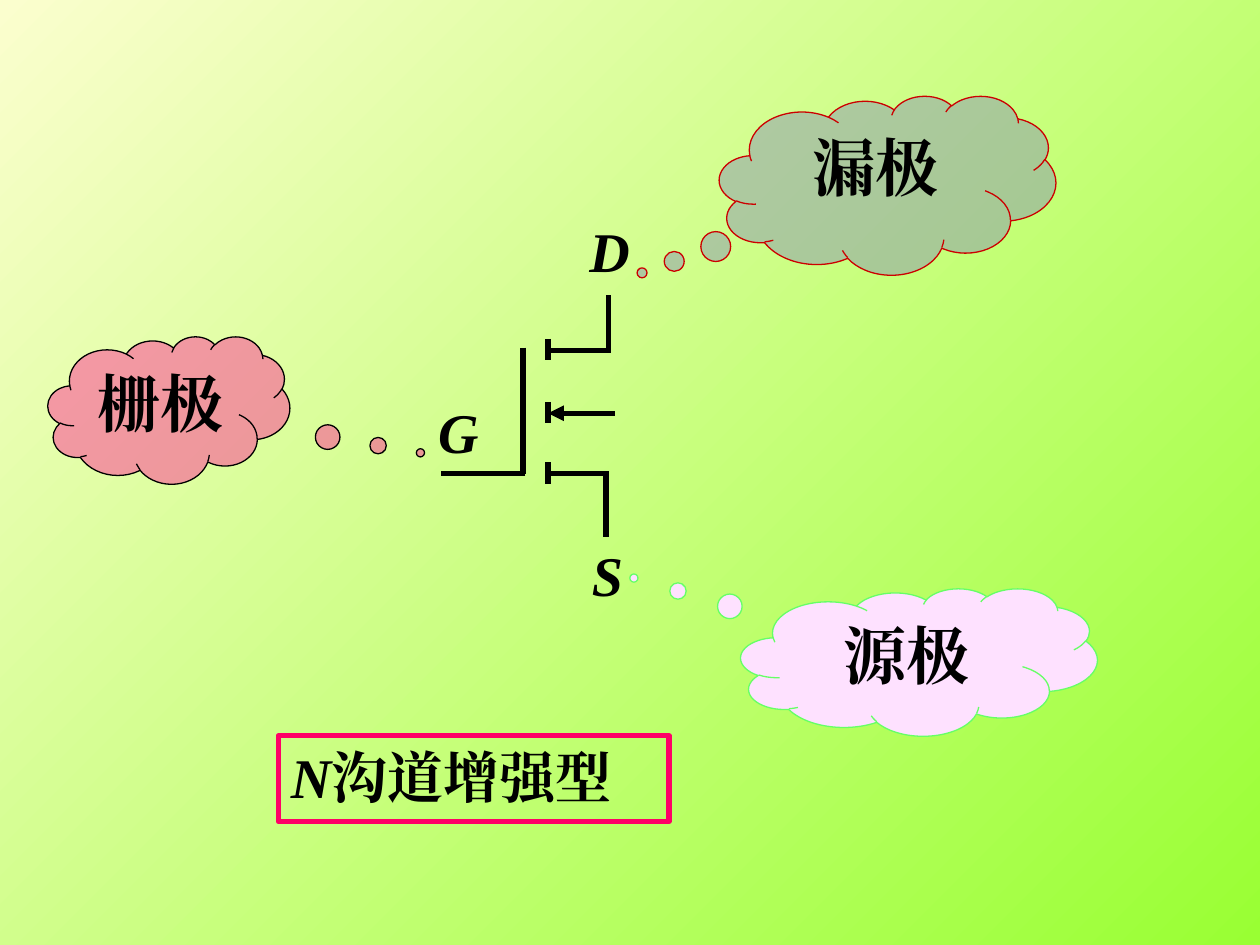
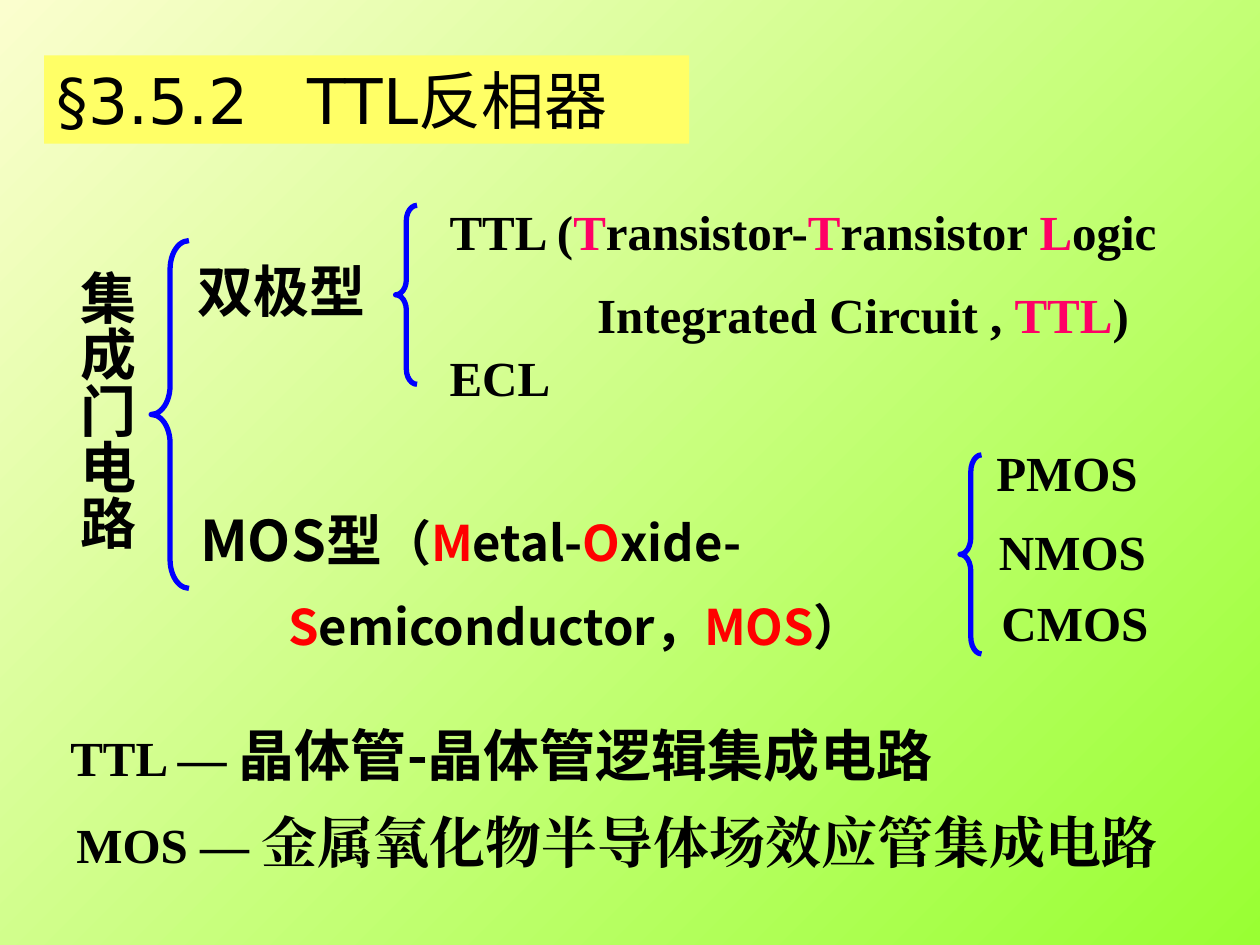
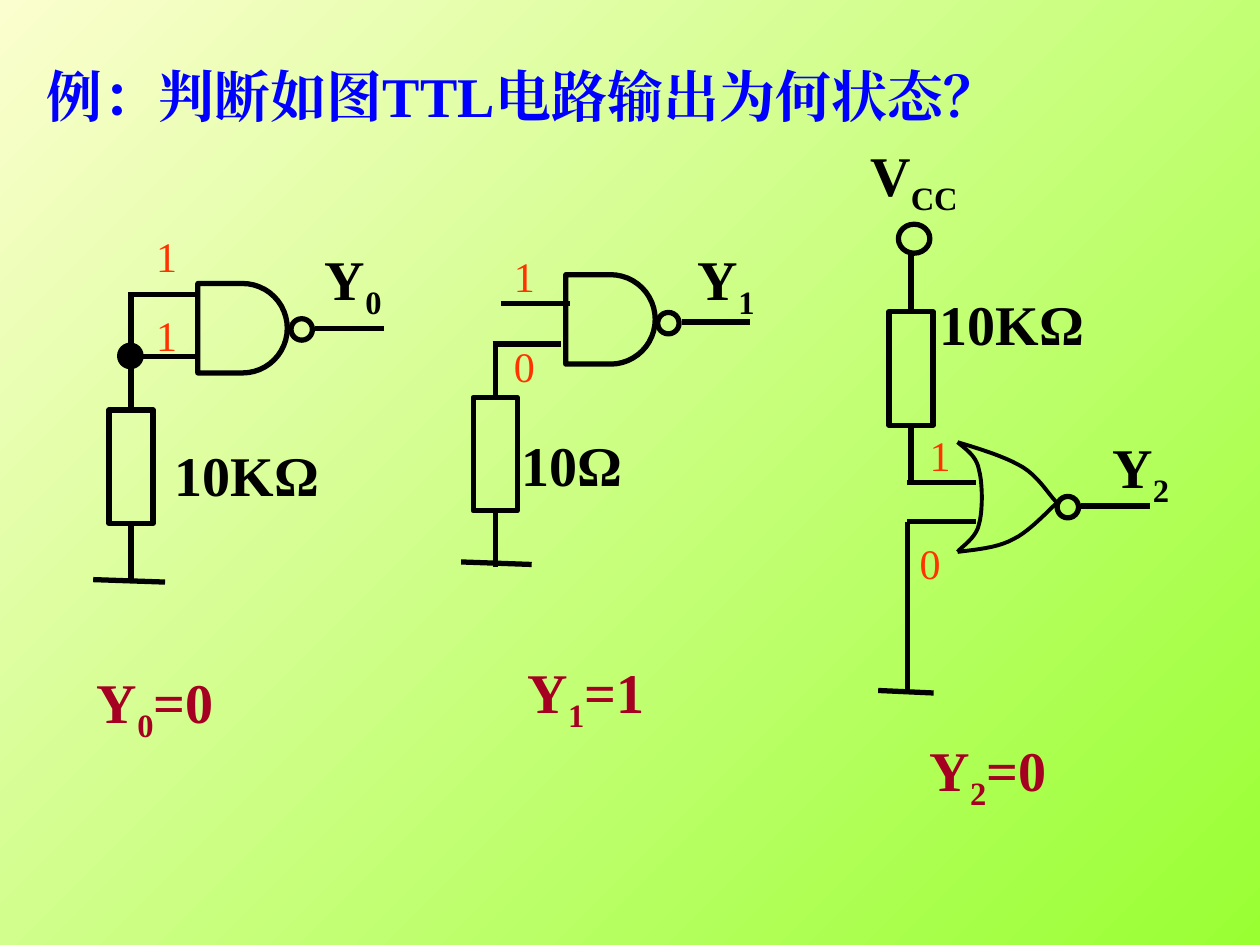
from dataclasses import dataclass
from typing import NamedTuple, Optional

import pptx
import pptx.dml.color
import pptx.enum.shapes
import pptx.enum.text
import pptx.oxml
import pptx.oxml.ns
import pptx.util

COLORS = {
    "cream": "FBFECE", "lime": "99FF33", "black": "000000", "blue": "0000FF",
    "pink": "FF0066", "red": "FF0000", "level": "FF3300", "answer": "A50021",
    "yellow": "FFFF66", "lilac": "FEE1FF", "green": "66FF66",
    "magenta": "FF3399", "slate": "8A95B2", "crimson": "CC0000",
}
SERIF, HEI, SANS = "Times New Roman", "Noto Sans CJK SC", "DejaVu Sans"
COLUMNS, ROWS = 100, 75
SLIDE_WIDTH, SLIDE_HEIGHT = pptx.util.Inches(10), pptx.util.Inches(7.5)
SHAPE = pptx.enum.shapes.MSO_SHAPE
ALIGN = pptx.enum.text.PP_ALIGN
ANCHOR = pptx.enum.text.MSO_ANCHOR
TOP, BOTTOM = 0, 2


class Box(NamedTuple):
    """A place on the grid, in columns and rows."""
    col: float
    row: float
    cols: float
    rows: float


class Wire(NamedTuple):
    col1: float
    row1: float
    col2: float
    row2: float


class Run(NamedTuple):
    text: str
    color: Optional[str] = None
    size: Optional[float] = None
    font: Optional[str] = None
    italic: Optional[bool] = None
    subscript: bool = False


@dataclass(frozen=True)
class Style:
    size: float = 32
    font: str = SERIF
    color: str = "black"
    bold: bool = True
    italic: bool = False
    align: Optional[int] = None
    anchor: int = ANCHOR.TOP
    wrap: bool = True
    grow: bool = True
    vertical: bool = False
    indent: float = 0    # columns, for every paragraph after the first
    tab: float = 0       # columns


class Label(NamedTuple):
    box: Box
    paragraphs: list
    style: Style = Style()


class Cloud(NamedTuple):
    box: Box
    text: str
    tail: tuple
    fill: str
    line: str
    opacity: int = 100


class Brace(NamedTuple):
    box: Box
    curl: float


def x(columns: float) -> int:
    return round(SLIDE_WIDTH * columns / COLUMNS)


def y(rows: float) -> int:
    return round(SLIDE_HEIGHT * rows / ROWS)


def rgb(name: str) -> pptx.dml.color.RGBColor:
    return pptx.dml.color.RGBColor.from_string(COLORS[name])


def sub_element(parent, tag: str, **attributes: str):
    child = pptx.oxml.parse_xml(f"<{tag} {pptx.oxml.ns.nsdecls('a')}/>")
    for key, value in attributes.items():
        child.set(key, value)
    parent.append(child)
    return child


def paint(shape, fill: Optional[str] = None, line: Optional[str] = "black",
          width: float = 3, opacity: int = 100) -> None:
    shape.shadow.inherit = False
    if fill:
        shape.fill.solid()
        shape.fill.fore_color.rgb = rgb(fill)
        if opacity < 100:
            color = shape.fill._xPr.find(".//" + pptx.oxml.ns.qn("a:srgbClr"))
            sub_element(color, "a:alpha", val=str(opacity * 1000))
    else:
        shape.fill.background()
    if line:
        shape.line.color.rgb = rgb(line)
        shape.line.width = pptx.util.Pt(width)
    else:
        shape.line.fill.background()


def draw_shape(slide, kind, box: Box, **look):
    shape = slide.shapes.add_shape(
        kind, x(box.col), y(box.row), x(box.cols), y(box.rows))
    paint(shape, **look)
    return shape


def draw_wire(slide, wire: Wire, arrow: bool = False):
    connector = slide.shapes.add_connector(
        pptx.enum.shapes.MSO_CONNECTOR.STRAIGHT,
        x(wire.col1), y(wire.row1), x(wire.col2), y(wire.row2))
    connector.line.color.rgb = rgb("black")
    connector.line.width = pptx.util.Pt(3)
    if arrow:
        sub_element(connector.line._get_or_add_ln(), "a:headEnd", type="triangle")
    sub_element(connector._element.spPr, "a:effectLst")
    return connector


def format_run(target, run: Run, style: Style) -> None:
    font = target.font
    font.size = pptx.util.Pt(run.size or style.size)
    font.name = run.font or style.font
    font.bold = style.bold
    font.italic = style.italic if run.italic is None else run.italic
    font.color.rgb = rgb(run.color or style.color)
    properties = target._r.get_or_add_rPr()
    sub_element(properties, "a:ea", typeface=run.font or style.font)
    if run.subscript:
        properties.set("baseline", "-25000")


def write(shape, paragraphs: list, style: Style) -> None:
    """Fill a shape with paragraphs, each a string or a list of strings and runs."""
    frame = shape.text_frame
    frame.word_wrap = style.wrap
    frame.vertical_anchor = style.anchor
    if style.grow:
        frame.auto_size = pptx.enum.text.MSO_AUTO_SIZE.SHAPE_TO_FIT_TEXT
    if style.vertical:
        frame._txBody.bodyPr.set("vert", "eaVert")
    for index, content in enumerate(paragraphs):
        paragraph = frame.add_paragraph() if index else frame.paragraphs[0]
        paragraph.alignment = style.align or ALIGN.LEFT
        properties = paragraph._p.get_or_add_pPr()
        if index:
            paragraph.space_before = pptx.util.Pt(style.size / 2)
            properties.set("marL", str(x(style.indent)))
        if style.tab:
            stops = sub_element(properties, "a:tabLst")
            sub_element(stops, "a:tab", pos=str(x(style.tab)), algn="l")
        for piece in [content] if isinstance(content, str) else content:
            run = Run(piece) if isinstance(piece, str) else piece
            target = paragraph.add_run()
            target.text = run.text
            format_run(target, run, style)


def draw_label(slide, label: Label) -> None:
    box = label.box
    write(slide.shapes.add_textbox(x(box.col), y(box.row), x(box.cols), y(box.rows)),
          label.paragraphs, label.style)


def draw_cloud(slide, cloud: Cloud) -> None:
    shape = draw_shape(slide, SHAPE.CLOUD_CALLOUT, cloud.box, fill=cloud.fill,
                       line=cloud.line, width=0.75, opacity=cloud.opacity)
    shape.adjustments[0], shape.adjustments[1] = cloud.tail
    write(shape, [cloud.text], Style(size=36, align=ALIGN.CENTER, grow=False))


def draw_brace(slide, brace: Brace) -> None:
    shape = draw_shape(slide, SHAPE.LEFT_BRACE, brace.box, line="blue")
    shape.adjustments[0], shape.adjustments[1] = brace.curl, 0.5


def draw_resistor(slide, col: float, middle: float, feed: float, drain: float) -> None:
    """Draw an upright resistor centred on col, with leads from feed down to drain."""
    body = draw_shape(slide, SHAPE.RECTANGLE, Box(col - 1.75, middle - 4.5, 3.5, 9))
    draw_wire(slide, Wire(col, feed, col, middle - 4.5)).end_connect(body, TOP)
    draw_wire(slide, Wire(col, middle + 4.5, col, drain)).begin_connect(body, BOTTOM)


def draw_ground(slide, col: float, row: float, cols: float) -> None:
    draw_wire(slide, Wire(col, row, col + cols, row + 0.2))


def draw_inverted_output(slide, col: float, row: float) -> None:
    draw_shape(slide, SHAPE.OVAL, Box(col, row, 1.7, 1.7))
    draw_wire(slide, Wire(col + 1.9, row + 0.75, col + 7.35, row + 0.75))


def draw_nand(slide, col: float, row: float) -> None:
    draw_shape(slide, SHAPE.FLOWCHART_DELAY, Box(col, row, 7.1, 7.1))


def draw_curve(slide, knots: list, steps: int = 10) -> None:
    """Draw joined cubic curves; knots hold a start, then two handles and an end each."""
    points = [knots[0]]
    for first in range(0, len(knots) - 1, 3):
        a, b, c, d = knots[first:first + 4]
        for step in range(1, steps + 1):
            t = step / steps
            weights = ((1 - t) ** 3, 3 * t * (1 - t) ** 2, 3 * t * t * (1 - t), t ** 3)
            points.append(tuple(sum(w * p[axis] for w, p in zip(weights, (a, b, c, d)))
                                for axis in (0, 1)))
    emu = [(x(col), y(row)) for col, row in points]
    builder = slide.shapes.build_freeform(*emu[0])
    builder.add_line_segments(emu[1:], close=False)
    paint(builder.convert_to_shape(), width=2.25)


def indexed(letter: str, index: str, rest: str = "") -> list:
    runs = [letter, Run(index, subscript=True)]
    return [runs + [rest] if rest else runs]


def build_transistor(slide) -> None:
    for wire in (Wire(41.5, 27.6, 41.5, 37.6), Wire(41.7, 37.6, 35, 37.6),
                 Wire(43.3, 27.8, 48.5, 27.8), Wire(43.5, 37.6, 48.3, 37.6),
                 Wire(48.3, 28, 48.3, 23.4), Wire(48.1, 37.4, 48.1, 42.6)):
        draw_wire(slide, wire)
    for row in (26.9, 31.9, 36.7):
        draw_wire(slide, Wire(43.5, row, 43.5, row + 1.7))
    draw_wire(slide, Wire(43.5, 32.8, 48.8, 32.8), arrow=True)
    for name, col, row in (("G", 33.8, 31.1), ("S", 46, 42.4), ("D", 45.8, 16.7)):
        draw_label(slide, Label(Box(col, row, 7, 6.3), [name], Style(italic=True)))
    channel_type = draw_shape(slide, SHAPE.RECTANGLE, Box(22.1, 58.4, 31, 6.8),
                              line="pink")
    write(channel_type, [[Run("N", italic=True), "沟道增强型"]], Style())
    for cloud in (
        Cloud(Box(58.8, 46.7, 28.3, 11.7), "源极", (-0.8, -0.57), "lilac", "green"),
        Cloud(Box(3.8, 26.7, 19.2, 11.7), "栅极", (1.04, 0.29), "magenta", "black", 50),
        Cloud(Box(57.1, 7.6, 26.7, 14.2), "漏极", (-0.73, 0.49), "slate", "crimson", 50),
    ):
        draw_cloud(slide, cloud)


def build_families(slide) -> None:
    for brace in (Brace(Box(12, 19.1, 3, 27.6), 0.76),
                  Brace(Box(31.4, 16.3, 1.7, 14.2), 0.71),
                  Brace(Box(76.2, 36.1, 1.7, 15.8), 0.79)):
        draw_brace(slide, brace)
    heading = Style(font=HEI)
    member = Style(size=28)
    for label in (
        Label(Box(4.3, 20.5, 7.3, 26.3), ["集成门电路"], Style(font=HEI, vertical=True)),
        Label(Box(14.7, 19.9, 16.2, 6.3), ["双极型"], heading),
        Label(Box(34.7, 15.5, 60, 12.7), [
            ["TTL (", Run("T", "pink"), "ransistor-", Run("T", "pink"),
             "ransistor ", Run("L", "pink"), "ogic"],
            ["Integrated Circuit , ", Run("TTL", "pink"), ")"],
        ], Style(size=28, indent=11.7)),
        Label(Box(34.7, 27.1, 10.8, 5.7), ["ECL"], member),
        Label(Box(78.1, 34.6, 14.4, 5.7), ["PMOS"], member),
        Label(Box(78.3, 40.9, 14.2, 5.7), ["NMOS"], member),
        Label(Box(78.5, 46.5, 16.7, 5.7), ["CMOS"], member),
        Label(Box(14.9, 39.6, 59.2, 13.4), [
            [Run("MOS型", size=32), "（", Run("M", "red"), "etal-",
             Run("O", "red"), "xide-"],
            [Run("S", "red"), "emiconductor，", Run("MOS", "red"), "）"],
        ], Style(size=28, font=HEI, indent=7)),
        Label(Box(4.6, 56.7, 91.1, 6.3), [
            ["TTL — ", Run("晶体管-晶体管逻辑集成电路", size=32, font=HEI)]], member),
        Label(Box(3.8, 63.6, 90.4, 6.3), [
            ["MOS — ", Run("金属氧化物半导体场效应管集成电路", size=32)],
        ], Style(size=28, align=ALIGN.CENTER, anchor=ANCHOR.MIDDLE)),
    ):
        draw_label(slide, label)
    title = draw_shape(slide, SHAPE.RECTANGLE, Box(3.5, 4.4, 51.2, 7),
                       fill="yellow", line=None)
    write(title, ["§3.5.2\tTTL反相器"],
          Style(size=36, font=SANS, bold=False, tab=19.9))


def build_example(slide) -> None:
    draw_label(slide, Label(Box(2.7, 4.4, 86.1, 6.3),
                            ["例：判断如图TTL电路输出为何状态？"], Style(color="blue")))

    draw_shape(slide, SHAPE.OVAL, Box(9.5, 27.4, 1.7, 1.7), fill="black")
    draw_shape(slide, SHAPE.OVAL, Box(71.3, 17.8, 2.5, 2.3))
    for col, row in ((15.7, 22.5), (44.9, 21.8)):
        draw_nand(slide, col, row)
    for col, row in ((23.1, 25.3), (52.2, 24.8), (83.9, 39.4)):
        draw_inverted_output(slide, col, row)
    for col, middle, feed, drain in ((10.4, 37.05, 28.2, 46), (39.3, 36.05, 27.3, 45),
                                     (72.3, 29.25, 20.2, 38.3)):
        draw_resistor(slide, col, middle, feed, drain)
    for col, row, cols in ((7.4, 46, 5.7), (36.6, 44.6, 5.6), (69.7, 54.8, 4.4)):
        draw_ground(slide, col, row, cols)
    for col, row in ((10.4, 23.4), (10.2, 28.3), (39.8, 24.1), (39.1, 27.3),
                     (72, 38.3), (72, 41.4)):
        draw_wire(slide, Wire(col, row, col + 5.45, row))
    for wire in (Wire(10.4, 23.2, 10.4, 28.7), Wire(72, 41.4, 72, 54.8)):
        draw_wire(slide, wire)

    upper, tip, lower = (76, 35.1), (83.9, 39.9), (76, 43.8)
    for knots in (
        [upper, (76.7, 35.7), (77.5, 36.2), (77.7, 37.3), (78, 38.4), (78, 40.6),
         (77.7, 41.6), (77.5, 42.7), (76.3, 43.4), lower],
        [upper, (78, 35.7), (79.9, 36.3), (81.2, 37.1), (82.5, 37.9), (83.4, 39.5), tip],
        [lower, (77.5, 43.6), (79.1, 43.5), (80.4, 42.8), (81.7, 42.2), (83.3, 40.4), tip],
    ):
        draw_curve(slide, knots)

    name = Style(wrap=False)
    answer = Style(color="answer", wrap=False)
    for label in (
        Label(Box(12.9, 34.5, 14.3, 6.3), ["10KΩ"], name),
        Label(Box(40.4, 33.7, 10.9, 6.3), ["10Ω"], name),
        Label(Box(73.6, 22.5, 14.3, 6.3), ["10KΩ"], name),
        Label(Box(68.1, 10.7, 9.4, 6.3), indexed("V", "CC"), name),
        Label(Box(24.8, 18.9, 6.6, 6.3), indexed("Y", "0"), name),
        Label(Box(54.4, 18.9, 6.6, 6.3), indexed("Y", "1"), name),
        Label(Box(87.3, 33.8, 6.6, 6.3), indexed("Y", "2"), name),
        Label(Box(6.7, 52.5, 11.4, 6.3), indexed("Y", "0", "=0"), answer),
        Label(Box(40.9, 51.7, 11.4, 6.3), indexed("Y", "1", "=1"), answer),
        Label(Box(72.8, 57.9, 11.4, 6.3), indexed("Y", "2", "=0"), answer),
    ):
        draw_label(slide, label)
    for level, col, row in (("1", 11.4, 17.8), ("1", 11.4, 24.1), ("1", 39.8, 19.4),
                            ("0", 39.8, 26.5), ("1", 72.8, 33.6), ("0", 72, 42.2)):
        draw_label(slide, Label(Box(col, row, 5, 5), [level],
                                Style(size=24, color="level", bold=False)))


def set_background(master) -> None:
    fill = master.background.fill
    fill.gradient()
    fill.gradient_angle = 315
    for stop, name, position in zip(fill.gradient_stops, ("cream", "lime"), (0, 1)):
        stop.color.rgb = rgb(name)
        stop.position = position


def main() -> None:
    deck = pptx.Presentation()
    deck.slide_width, deck.slide_height = SLIDE_WIDTH, SLIDE_HEIGHT
    set_background(deck.slide_master)
    blank = deck.slide_layouts[6]
    for build in (build_transistor, build_families, build_example):
        build(deck.slides.add_slide(blank))
    deck.save("out.pptx")


if __name__ == "__main__":
    main()
